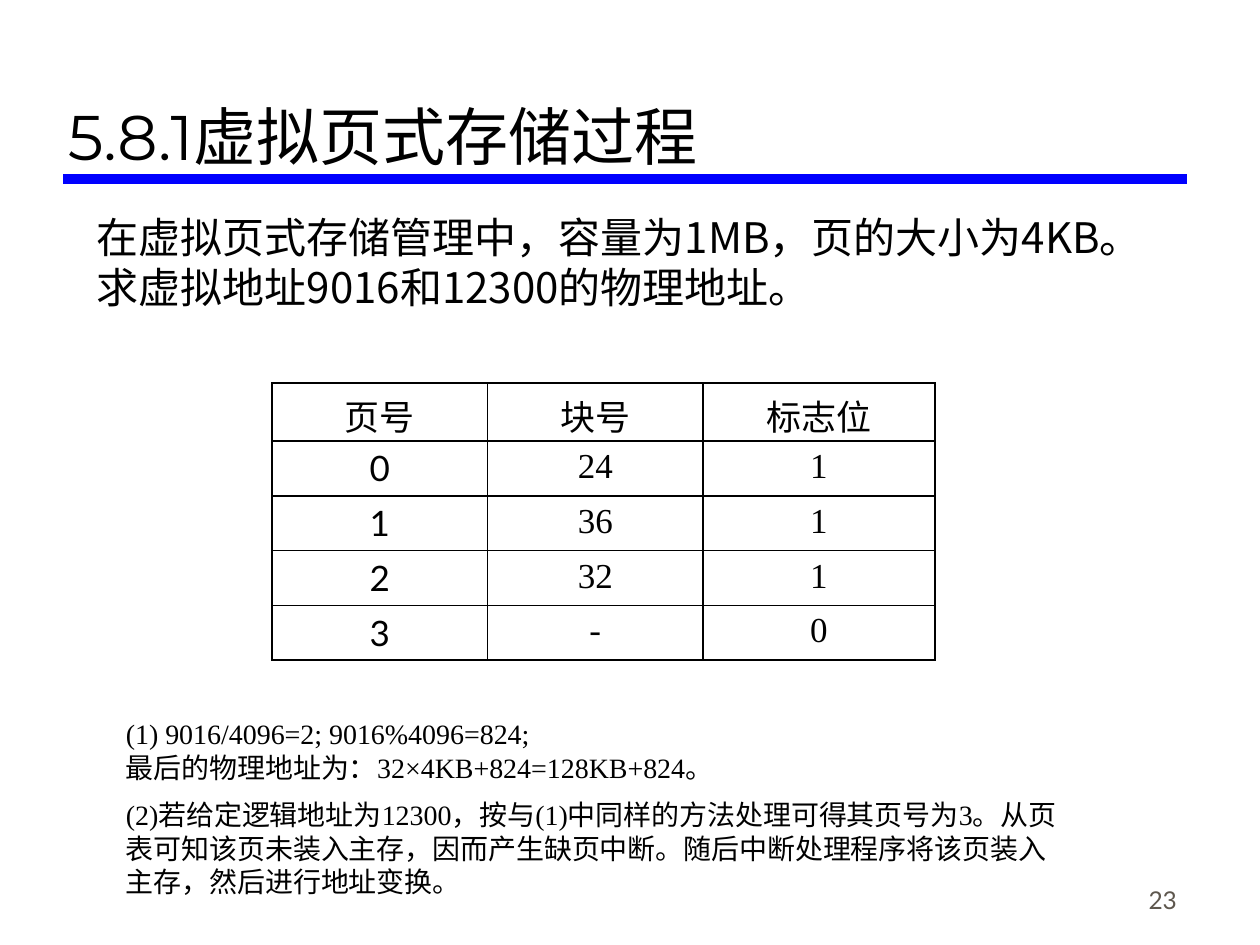
from lxml import etree
from pptx import Presentation, util as u
from pptx.dml.color import RGBColor
from pptx.enum import shapes, text
from pptx.oxml.ns import qn

BLACK = RGBColor(0, 0, 0)
BLUE = RGBColor(0, 0, 255)
GREY = RGBColor(0x5E, 0x57, 0x4E)
SANS, SERIF, HEADING, CJK = "Lato", "Times New Roman", "Montserrat", "Noto Sans CJK SC"
LEFT, CENTER, RIGHT = text.PP_ALIGN.LEFT, text.PP_ALIGN.CENTER, text.PP_ALIGN.RIGHT
TOP, MIDDLE, BOTTOM = text.MSO_ANCHOR.TOP, text.MSO_ANCHOR.MIDDLE, text.MSO_ANCHOR.BOTTOM

WIDTH, HEIGHT = 10, 7.5
RULE = (0.5, 9.42, 1.42)
TEXTS = [
    (["5.8.1虚拟页式存储过程"], (0.44, 0.17, 8.97, 1.25), HEADING, 36, BLACK, LEFT, BOTTOM),
    (["在虚拟页式存储管理中，容量为1MB，页的大小为4KB。",
      "求虚拟地址9016和12300的物理地址。"],
     (0.67, 1.62, 8.99, 0.91), CJK, 24, BLACK, LEFT, MIDDLE),
    (["(1) 9016/4096=2; 9016%4096=824;",
      "最后的物理地址为：32×4KB+824=128KB+824。"],
     (0.9, 5.64, 8.75, 0.64), SERIF, 16, BLACK, LEFT, TOP),
    (["(2)若给定逻辑地址为12300，按与(1)中同样的方法处理可得其页号为3。"
      "从页表可知该页未装入主存，因而产生缺页中断。"
      "随后中断处理程序将该页装入主存，然后进行地址变换。"],
     (0.9, 6.28, 7.64, 0.91), SERIF, 16, BLACK, LEFT, TOP),
    (["23"], (7.36, 6.81, 2.08, 0.5), SANS, 14, GREY, RIGHT, BOTTOM),
]
PAGE_TABLE = [
    ("页号", "块号", "标志位"),
    ("0", "24", "1"),
    ("1", "36", "1"),
    ("2", "32", "1"),
    ("3", "-", "0"),
]
TABLE_AREA = (2.16, 3.04, 5.25, 2.2)
COLUMNS = (1.71, 1.71, 1.84)
HEADER_HEIGHT = 0.46


def inches(values):
    return [u.Inches(value) for value in values]


def write(frame, lines, font, size, color, align):
    frame.text = "\n".join(lines)
    for para in frame.paragraphs:
        para.alignment = align
        for span in para.runs:
            span.font.size = u.Pt(size)
            span.font.color.rgb = color
            span.font.name = font
            latin = span.font._element.find(qn("a:latin"))
            latin.addnext(etree.Element(qn("a:ea"), typeface=CJK))


def add_text(page, lines, area, font, size, color, align, anchor):
    frame = page.shapes.add_textbox(*inches(area)).text_frame
    frame.word_wrap = True
    frame.vertical_anchor = anchor
    write(frame, lines, font, size, color, align)


def add_borders(cell):
    properties = cell._tc.get_or_add_tcPr()
    for index, side in enumerate(("a:lnL", "a:lnR", "a:lnT", "a:lnB")):
        line = etree.Element(qn(side), w=str(u.Pt(1)))
        fill = etree.SubElement(line, qn("a:solidFill"))
        etree.SubElement(fill, qn("a:srgbClr"), val=str(BLACK))
        properties.insert(index, line)


def add_page_table(page):
    table = page.shapes.add_table(len(PAGE_TABLE), len(COLUMNS), *inches(TABLE_AREA)).table
    table.first_row = table.horz_banding = False
    for column, width in zip(table.columns, COLUMNS):
        column.width = u.Inches(width)
    body_height = (TABLE_AREA[3] - HEADER_HEIGHT) / (len(PAGE_TABLE) - 1)
    for r, values in enumerate(PAGE_TABLE):
        table.rows[r].height = u.Inches(body_height if r else HEADER_HEIGHT)
        for c, value in enumerate(values):
            cell = table.cell(r, c)
            write(cell.text_frame, [value], SERIF if c else SANS, 20, BLACK, CENTER)
            cell.fill.background()
            add_borders(cell)


def add_rule(page):
    start, end, y = inches(RULE)
    rule = page.shapes.add_connector(shapes.MSO_CONNECTOR.STRAIGHT, start, y, end, y)
    rule.line.color.rgb = BLUE
    rule.line.width = u.Pt(6)
    etree.SubElement(rule._element.spPr, qn("a:effectLst"))


def main():
    deck = Presentation()
    deck.slide_width, deck.slide_height = inches((WIDTH, HEIGHT))
    page = deck.slides.add_slide(deck.slide_layouts[6])
    add_rule(page)
    for item in TEXTS:
        add_text(page, *item)
    add_page_table(page)
    deck.save("out.pptx")


if __name__ == "__main__":
    main()
